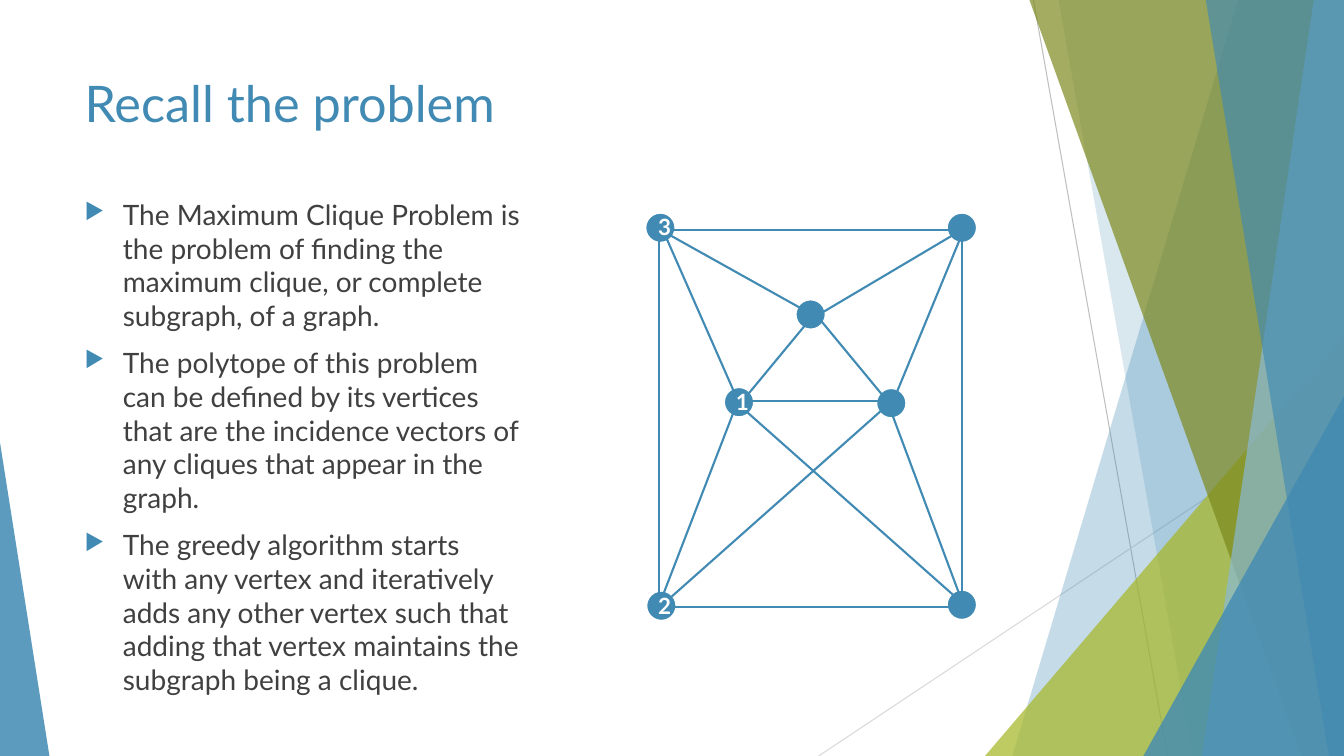
from pptx import Presentation
from pptx.dml.color import RGBColor
from pptx.enum.shapes import MSO_CONNECTOR, MSO_SHAPE
from pptx.enum.text import MSO_ANCHOR, MSO_AUTO_SIZE, PP_ALIGN
from pptx.oxml import parse_xml
from pptx.oxml.ns import nsdecls, qn
from pptx.util import Inches, Pt
from lxml.etree import SubElement

COLORS = {
    "blue": "418AB3", "sky": "8ABAD4", "lime": "A6B727", "olive": "7D891D",
    "white": "FFFFFF", "label": "FEFEFE", "text": "404040",
    "gray": "BFBFBF", "pale": "D9D9D9",
}
WIDTH, HEIGHT = 13.33, 7.5

deck = Presentation()
deck.slide_width, deck.slide_height = Inches(WIDTH), Inches(HEIGHT)
page = deck.slides.add_slide(deck.slide_layouts[6])


def add_line(start, end, color, weight):
    line = page.shapes.add_connector(
        MSO_CONNECTOR.STRAIGHT, *[Inches(value) for value in start + end])
    line.line.color.rgb = RGBColor.from_string(COLORS[color])
    line.line.width = Pt(weight)
    SubElement(line._element.spPr, qn("a:effectLst"))


def add_text(left, top, width, height, paragraphs, size, color):
    box = page.shapes.add_textbox(
        Inches(left), Inches(top), Inches(width), Inches(height))
    box.text_frame.word_wrap = True
    box.text_frame.vertical_anchor = MSO_ANCHOR.TOP
    for index, words in enumerate(paragraphs):
        para = box.text_frame.paragraphs[0] if index == 0 else box.text_frame.add_paragraph()
        span = para.add_run()
        span.text = words
        span.font.name = "Lato"
        span.font.size = Pt(size)
        span.font.color.rgb = RGBColor.from_string(COLORS[color])
    return box.text_frame


add_line((10.25, 0), (11.58, HEIGHT), "gray", 0.75)
add_line((WIDTH, 4.03), (8.12, HEIGHT), "pale", 0.75)

facets = [
    ("band", (12.28, 10.04), "blue", 30),
    ("band", (10.5, 11.83), "blue", 20),
    ("triangle", (9.77, 3.33, 3.56, 1), "lime", 72),
    ("band", (10.21, 12.91), "olive", 70),
    ("band", (13.03, 11.92), "sky", 70),
    ("band", (11.96, 13.18), "blue", 65),
    ("triangle", (11.34, 3.93, 1.99, 1), "blue", 80),
    ("triangle", (0, 4.39, 0.49, 0), "blue", 85),
]
for kind, geometry, color, opacity in facets:
    if kind == "band":
        top_left, bottom_left = geometry
        outline = page.shapes.build_freeform(Inches(top_left), 0)
        outline.add_line_segments(
            [(Inches(x), Inches(y)) for x, y in
             [(WIDTH, 0), (WIDTH, HEIGHT), (bottom_left, HEIGHT)]], close=True)
        facet = outline.convert_to_shape()
    else:
        left, top, width, apex = geometry
        facet = page.shapes.add_shape(
            MSO_SHAPE.ISOSCELES_TRIANGLE,
            Inches(left), Inches(top), Inches(width), Inches(HEIGHT - top))
        facet.adjustments[0] = apex
    facet.shadow.inherit = False
    facet.line.fill.background()
    facet.fill.solid()
    facet.fill.fore_color.rgb = RGBColor.from_string(COLORS[color])
    tint = facet._element.spPr.find(qn("a:solidFill"))[0]
    SubElement(tint, qn("a:alpha")).set("val", str(opacity * 1000))

add_text(0.74, 0.67, 9.4, 1.44, ["Recall the problem"], 36, "blue")

points = [
    "The Maximum Clique Problem is the problem of finding the maximum clique, "
    "or complete subgraph, of a graph.",
    "The polytope of this problem can be defined by its vertices that are the "
    "incidence vectors of any cliques that appear in the graph.",
    "The greedy algorithm starts with any vertex and iteratively adds any other "
    "vertex such that adding that vertex maintains the subgraph being a clique.",
]
body = add_text(0.74, 1.91, 4.52, 5.07, points, 20, "text")
for para in body.paragraphs:
    para.space_before = Pt(10)
    properties = para._p.get_or_add_pPr()
    properties.set("marL", str(Inches(0.38)))
    properties.set("indent", str(-Inches(0.38)))
    bullet_color = SubElement(properties, qn("a:buClr"))
    SubElement(bullet_color, qn("a:srgbClr")).set("val", COLORS["blue"])
    SubElement(properties, qn("a:buSzPct")).set("val", "80000")
    SubElement(properties, qn("a:buChar")).set("char", "\u25b6")

vertices = [(9.39, 5.85), (6.41, 5.86), (7.18, 3.84), (8.69, 3.85),
            (9.39, 2.11), (7.89, 2.97), (6.4, 2.11)]
for left, top in vertices:
    vertex = page.shapes.add_shape(
        MSO_SHAPE.OVAL, Inches(left), Inches(top), Inches(0.3), Inches(0.3))
    vertex.shadow.inherit = False
    vertex.fill.solid()
    vertex.fill.fore_color.rgb = RGBColor.from_string(COLORS["blue"])
    vertex.line.color.rgb = RGBColor.from_string(COLORS["white"])
    vertex.line.width = Pt(1.5)

edges = [
    ((6.55, 2.28), (8, 3.09)), ((8.14, 3.11), (9.54, 2.28)),
    ((6.54, 2.28), (9.6, 2.28)), ((6.48, 6.02), (9.54, 6.02)),
    ((7.31, 4), (6.55, 5.97)), ((9.55, 5.99), (8.8, 3.98)),
    ((6.54, 2.26), (6.54, 6.1)), ((9.54, 2.23), (9.54, 6.07)),
    ((6.6, 2.34), (7.33, 4)), ((7.31, 4), (9.53, 5.97)),
    ((8.79, 4.03), (6.57, 6)), ((8.09, 3.1), (7.28, 4.08)),
    ((8.05, 3.07), (8.86, 4.05)), ((9.55, 2.3), (8.85, 4)),
    ((7.26, 3.98), (8.86, 3.98)),
]
for start, end in edges:
    add_line(start, end, "blue", 1.5)

for number, left, top in [("1", 7.2, 3.8), ("2", 6.43, 5.83), ("3", 6.43, 2.07)]:
    label = add_text(left, top, 0.25, 0.37, [number], 16, "label")
    label.word_wrap = False
    label.auto_size = MSO_AUTO_SIZE.SHAPE_TO_FIT_TEXT
    para = label.paragraphs[0]
    para.alignment = PP_ALIGN.CENTER
    span = para.runs[0]
    span.font.bold = True
    style = span._r.get_or_add_rPr()
    style.set("spc", "50")
    style.insert(0, parse_xml(
        f'<a:ln {nsdecls("a")} w="{Pt(0.75)}"><a:solidFill>'
        f'<a:srgbClr val="{COLORS["blue"]}"/></a:solidFill></a:ln>'))

deck.save("out.pptx")
